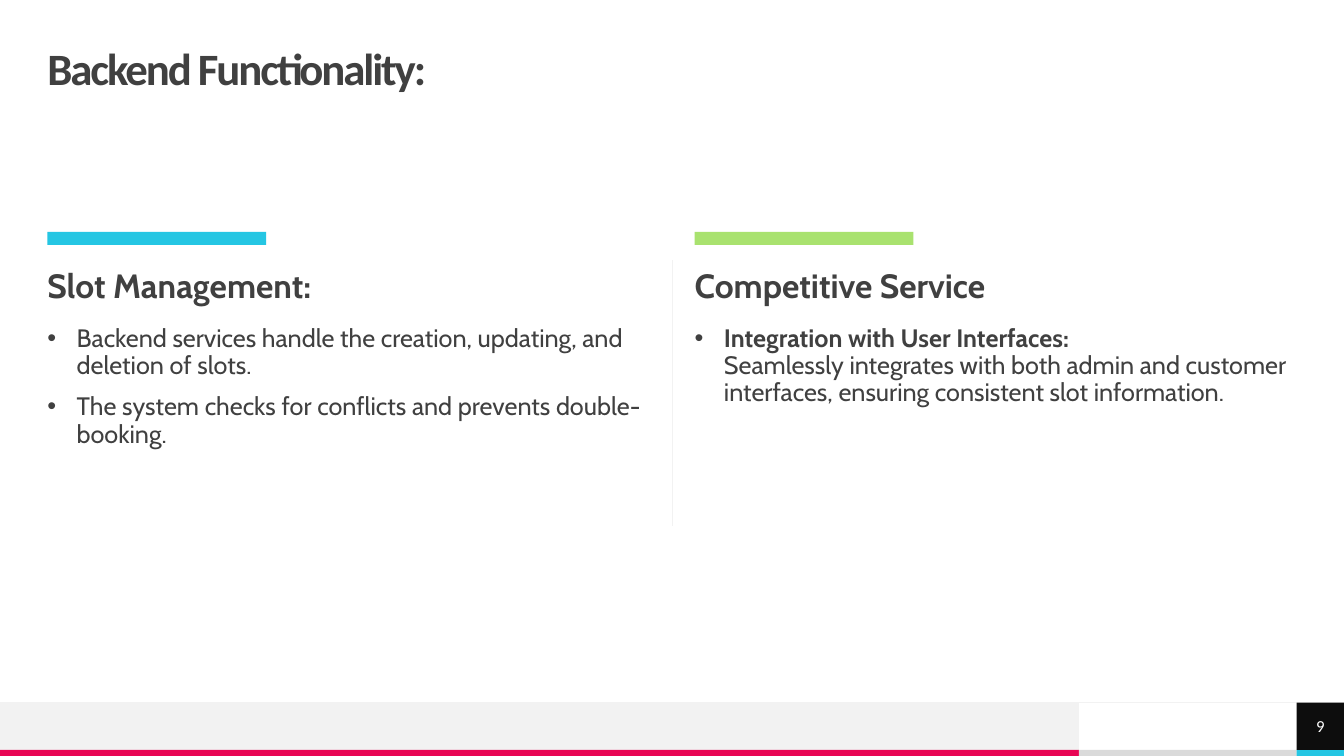
from copy import deepcopy

from lxml.etree import SubElement
from pptx import Presentation
from pptx.dml.color import RGBColor
from pptx.enum.shapes import MSO_CONNECTOR, MSO_SHAPE
from pptx.enum.text import MSO_ANCHOR, MSO_AUTO_SIZE, PP_ALIGN
from pptx.oxml.ns import qn
from pptx.util import Inches, Pt

COLORS = {
    "text": "404040", "white": "FFFFFF", "black": "0D0D0D", "pale": "F2F2F2",
    "gray": "DADADA", "pink": "E80554", "blue": "25C6E3", "green": "A9E26F",
}
FRAME = {
    "margin_left": 0, "margin_top": 0, "margin_right": 0, "margin_bottom": 0,
    "word_wrap": True, "auto_size": MSO_AUTO_SIZE.NONE,
}
TITLE = {"name": "Calibri", "size": Pt(32), "bold": True}
HEAD = {"name": "Cabin", "size": Pt(24), "bold": True}
BODY = {"name": "Cabin", "size": Pt(18), "bold": False}
NUMBER = {"name": "Calibri", "size": Pt(12), "bold": False}


def color(name):
    return RGBColor.from_string(COLORS[name])


def apply(target, values):
    for key, value in values.items():
        setattr(target, key, value)


def place(shape, box):
    sides = ("left", "top", "width", "height")
    apply(shape, dict(zip(sides, map(Inches, box))))


def block(slide, box, fill):
    shape = slide.shapes.add_shape(MSO_SHAPE.RECTANGLE, *map(Inches, box))
    shape.shadow.inherit = False
    shape.fill.solid()
    shape.fill.fore_color.rgb = color(fill)
    shape.line.fill.background()
    return shape


def rule(slide, *ends):
    line = slide.shapes.add_connector(MSO_CONNECTOR.STRAIGHT, *map(Inches, ends))
    line.line.color.rgb = color("pale")
    line.line.width = Pt(0.5)
    SubElement(line._element.spPr, qn("a:effectLst"))


def frame(shape, anchor):
    apply(shape.text_frame, {**FRAME, "vertical_anchor": anchor})
    return shape.text_frame


def write(para, text, style, ink="text"):
    run = para.add_run()
    run.text = text
    apply(run.font, style)
    run.font.color.rgb = color(ink)
    return run


def bullet(para):
    props = para._p.get_or_add_pPr()
    props.set("marL", str(Inches(0.29)))
    props.set("indent", str(-Inches(0.29)))
    SubElement(props, qn("a:buFont"), typeface="Arial")
    SubElement(props, qn("a:buChar"), char="•")


# Title across the top
def heading(slide, box, text):
    shape = slide.shapes.title
    place(shape, box)
    para = frame(shape, MSO_ANCHOR.MIDDLE).paragraphs[0]
    apply(para, {"alignment": PP_ALIGN.LEFT, "line_spacing": 0.9})
    run = write(para, text, TITLE)
    run.font._element.set("spc", "-150")


# Accent bar, heading and bullet list; an item is (bold lead, text)
def column(slide, box, first, accent, head, items):
    left, top, width, height = box
    block(slide, (left, top, 2.17, 0.13), accent)

    label, body = (slide.placeholders[first + step] for step in (0, 1))
    place(label, (left, top + 0.37, width, 0.39))
    para = frame(label, MSO_ANCHOR.TOP).paragraphs[0]
    apply(para, {"line_spacing": 0.9, "space_before": Pt(0)})
    write(para, head, HEAD)

    place(body, (left, top + 0.93, width, height - 0.93))
    text = frame(body, MSO_ANCHOR.TOP)
    for count, (lead, item) in enumerate(items):
        para = text.add_paragraph() if count else text.paragraphs[0]
        apply(para, {"line_spacing": 0.9, "space_before": Pt(10 if count else 0)})
        bullet(para)
        if lead:
            run = write(para, lead, {**BODY, "bold": True})
            para.add_line_break()
            para._p[-1].append(deepcopy(run.font._element))
        write(para, item, BODY)


# Gray band, colour strip and page number
def footer(slide, box, number):
    left, top, width, height = box
    strip, size = 0.06, 0.47
    base, right = top + height - strip, left + width
    band = 10.7
    block(slide, (left, top, band, size), "pale")
    parts = ((left, band, "pink"), (band, right - size - band, "gray"),
             (right - size, size, "blue"))
    for start, span, fill in parts:
        block(slide, (start, base, span, strip), fill)
    rule(slide, right, top, left, top)

    page = block(slide, (right - size, top, size, size), "black")
    para = frame(page, MSO_ANCHOR.MIDDLE).paragraphs[0]
    para.alignment = PP_ALIGN.CENTER
    write(para, number, NUMBER, "white")
    block(slide, (band + 0.22, top + 0.02, 1.81, 0.4), "white")


def main():
    deck = Presentation()
    apply(deck, {"slide_width": Inches(13.33), "slide_height": Inches(7.5)})
    slide = deck.slides.add_slide(deck.slide_layouts.get_by_name("Comparison"))

    heading(slide, (0.47, 0.47, 12.4, 0.47), "Backend Functionality:")
    column(slide, (0.47, 2.3, 5.98, 3.33), 1, "blue", "Slot Management:", [
        ("", "Backend services handle the creation, updating, and deletion of slots."),
        ("", "The system checks for conflicts and prevents double-booking."),
    ])
    rule(slide, 6.67, 2.58, 6.67, 5.22)
    column(slide, (6.89, 2.3, 5.98, 3.33), 3, "green", "Competitive Service", [
        ("Integration with User Interfaces:",
         "Seamlessly integrates with both admin and customer interfaces, "
         "ensuring consistent slot information."),
    ])
    footer(slide, (0, 6.97, 13.33, 0.53), "9")
    deck.save("out.pptx")


if __name__ == "__main__":
    main()
